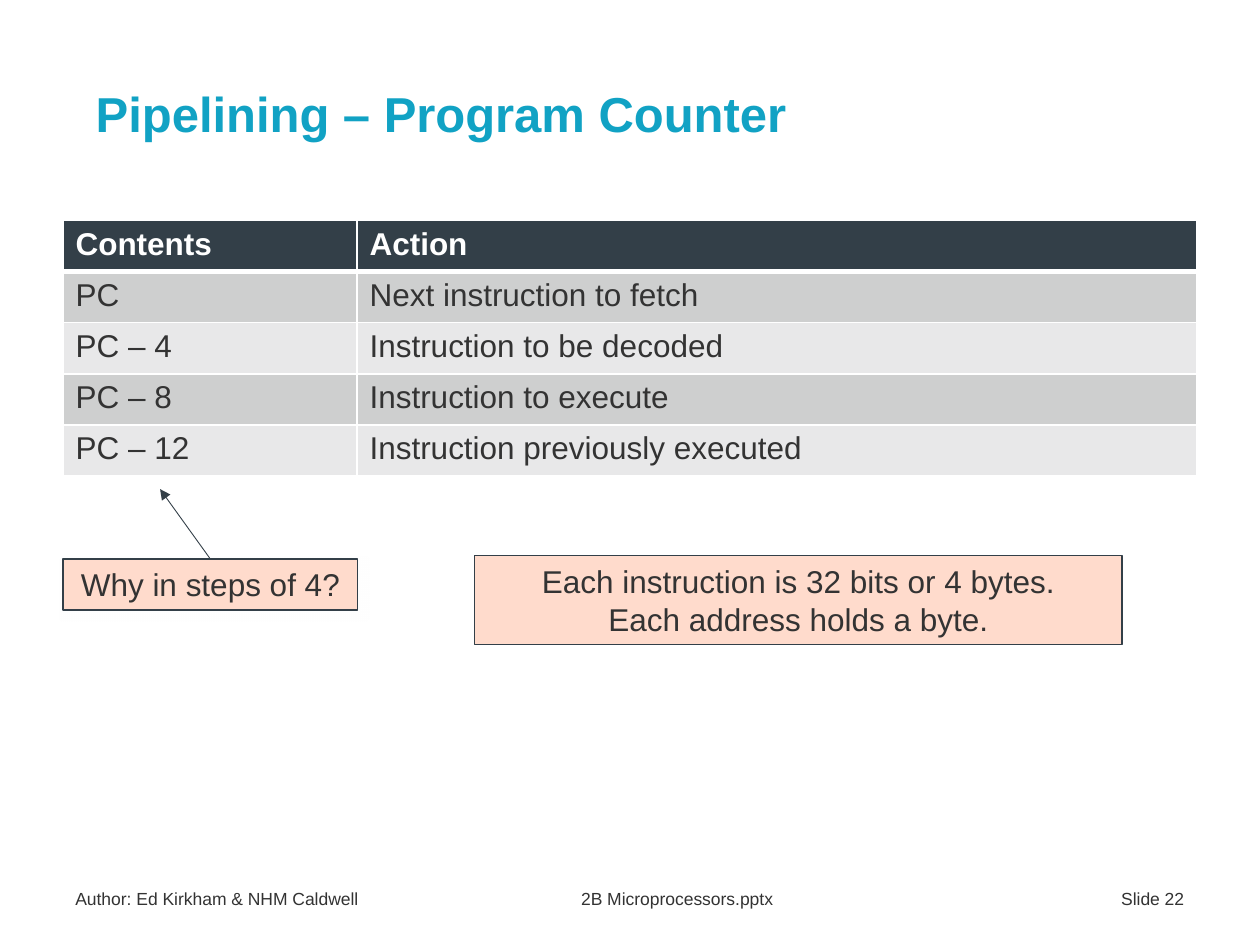
from lxml.etree import SubElement
from pptx import Presentation
from pptx.dml.color import RGBColor
from pptx.enum.shapes import MSO_CONNECTOR, MSO_SHAPE
from pptx.enum.text import MSO_ANCHOR, PP_ALIGN
from pptx.oxml.ns import qn
from pptx.util import Pt

COLORS = {
    "title": "11A2C4", "dark": "333F48", "text": "333333", "white": "FFFFFF",
    "band_dark": "CECFCF", "band_light": "E8E8E9", "note": "FFDBCC", "shadow": "000000",
}
TITLE = "Pipelining – Program Counter"
ROWS = [
    ("Contents", "Action"),
    ("PC", "Next instruction to fetch"),
    ("PC – 4", "Instruction to be decoded"),
    ("PC – 8", "Instruction to execute"),
    ("PC – 12", "Instruction previously executed"),
]
COLUMN_WIDTHS = (168, 480)
ROW_HEIGHT = 29.2
NOTES = [
    (["Why in steps of 4?"], (36, 319.5, 168.5, 29.1)),
    (["Each instruction is 32 bits or 4 bytes.", "Each address holds a byte."],
     (271.2, 317.5, 370.1, 50.9)),
]
ARROW_TIP = (91.5, 279.5)
FOOTER = ["Author: Ed Kirkham & NHM Caldwell", "2B Microprocessors.pptx", "Slide 22"]
FOOTER_TABS = [(289, "l"), (633.6, "r")]


def rgb(name):
    return RGBColor.from_string(COLORS[name])


def points(values):
    return [Pt(value) for value in values]


def write(frame, lines, size=18, color="text", bold=False, align=PP_ALIGN.LEFT,
          anchor=MSO_ANCHOR.TOP, spacing=None):
    frame.word_wrap = True
    frame.vertical_anchor = anchor
    for index, line in enumerate(lines):
        paragraph = frame.add_paragraph() if index else frame.paragraphs[0]
        paragraph.alignment = align
        paragraph.line_spacing = spacing
        run = paragraph.add_run()
        run.text = line
        run.font.name = "Arial"
        run.font.size = Pt(size)
        run.font.bold = bold
        run.font.color.rgb = rgb(color)


def add_color(parent, name):
    fill = SubElement(parent, qn("a:solidFill"))
    return SubElement(fill, qn("a:srgbClr"), val=COLORS[name])


def add_border(cell, side, width):
    properties = cell._tc.get_or_add_tcPr()
    add_color(SubElement(properties, qn(f"a:ln{side}"), w=str(Pt(width))), "white")


def add_note(shapes, lines, box):
    note = shapes.add_shape(MSO_SHAPE.RECTANGLE, *points(box))
    note.fill.solid()
    note.fill.fore_color.rgb = rgb("note")
    note.line.color.rgb = rgb("dark")
    note.line.width = Pt(0.75)
    note.shadow.inherit = False
    effects = note._element.spPr.find(qn("a:effectLst"))
    shadow = SubElement(effects, qn("a:outerShdw"), blurRad=str(Pt(4)), dist=str(Pt(3)),
                        dir=str(45 * 60000), algn="tl", rotWithShape="0")
    SubElement(add_color(shadow, "shadow"), qn("a:alpha"), val="40000")
    write(note.text_frame, lines, align=PP_ALIGN.CENTER)
    return note


def add_table(shapes):
    table = shapes.add_table(len(ROWS), len(COLUMN_WIDTHS), *points(
        (36, 126, sum(COLUMN_WIDTHS), ROW_HEIGHT * len(ROWS)))).table
    for column, width in zip(table.columns, COLUMN_WIDTHS):
        column.width = Pt(width)
    for r, texts in enumerate(ROWS):
        table.rows[r].height = Pt(ROW_HEIGHT)
        header = r == 0
        band = "dark" if header else "band_dark" if r % 2 else "band_light"
        for c, text in enumerate(texts):
            cell = table.cell(r, c)
            write(cell.text_frame, [text], color="white" if header else "text", bold=header)
            widths = {"L": 1, "R": 1, "T": 3 if r == 1 else 1, "B": 3 if header else 1}
            for side, width in widths.items():
                add_border(cell, side, width)
            cell.fill.solid()
            cell.fill.fore_color.rgb = rgb(band)


def add_footer(shapes):
    footer = shapes.add_textbox(*points((36, 504, 648, 19.4)))
    write(footer.text_frame, ["\t".join(FOOTER)], size=10)
    tabs = SubElement(footer.text_frame.paragraphs[0]._p.get_or_add_pPr(), qn("a:tabLst"))
    for position, align in FOOTER_TABS:
        SubElement(tabs, qn("a:tab"), pos=str(Pt(position)), algn=align)


def add_arrow(shapes, question):
    start = (question.left + question.width // 2, question.top)
    arrow = shapes.add_connector(MSO_CONNECTOR.STRAIGHT, *start, *points(ARROW_TIP))
    arrow.begin_connect(question, 0)
    arrow.line.color.rgb = rgb("dark")
    arrow.line.width = Pt(0.5)
    SubElement(arrow.line._get_or_add_ln(), qn("a:tailEnd"), type="triangle")
    SubElement(arrow._element.spPr, qn("a:effectLst"))


def main():
    deck = Presentation()
    deck.slide_width, deck.slide_height = points((720, 540))
    slide = deck.slides.add_slide(deck.slide_layouts[5])
    shapes = slide.shapes
    add_footer(shapes)
    title = shapes.title
    title.left, title.top, title.width, title.height = points((47.5, 21.6, 636.5, 90))
    write(title.text_frame, [TITLE], size=28, color="title", bold=True,
          anchor=MSO_ANCHOR.MIDDLE, spacing=0.9)
    add_table(shapes)
    question, answer = [add_note(shapes, lines, box) for lines, box in NOTES]
    add_arrow(shapes, question)
    deck.save("out.pptx")


if __name__ == "__main__":
    main()
